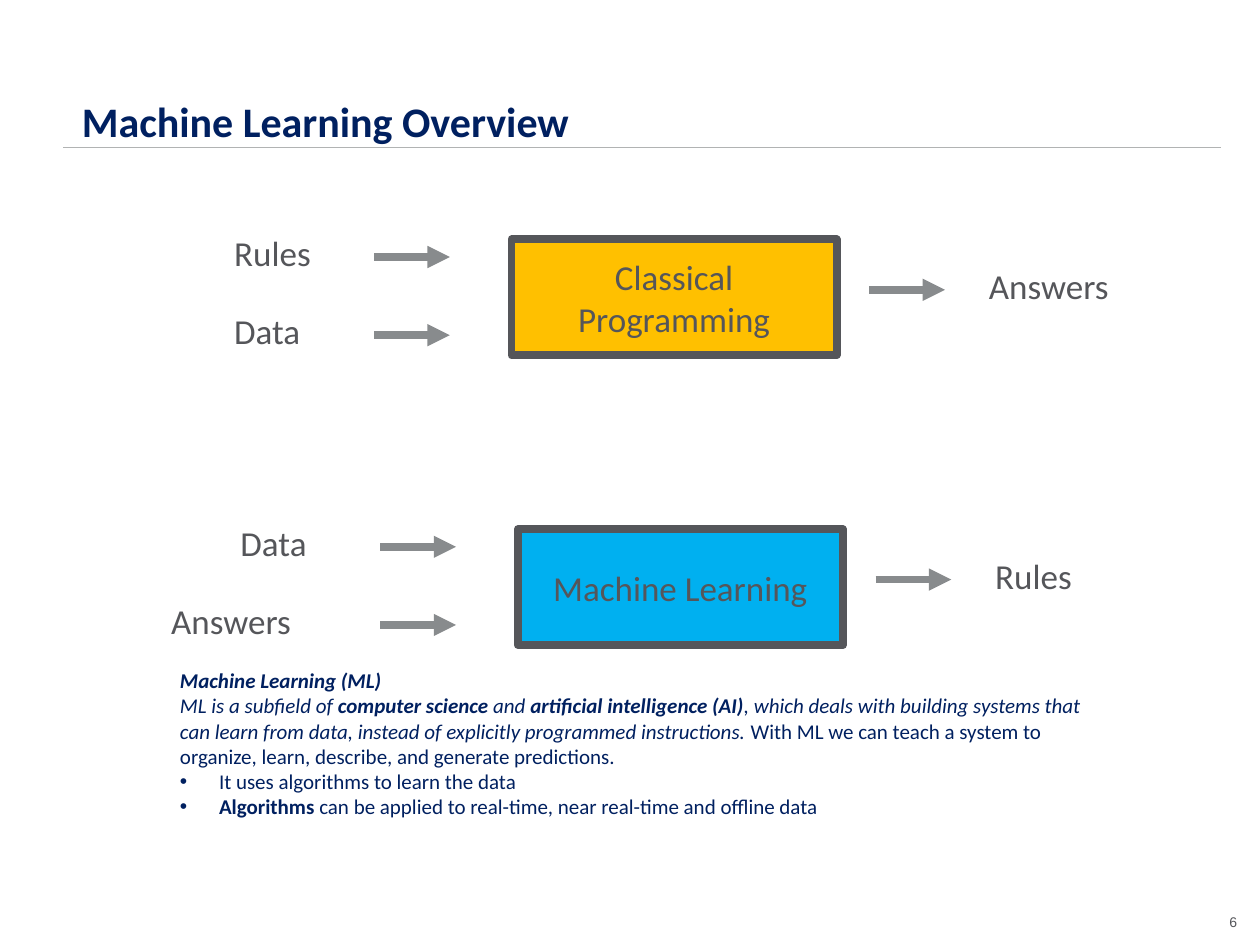
from dataclasses import dataclass

from lxml import etree
from pptx import Presentation
from pptx.dml.color import RGBColor
from pptx.enum.shapes import MSO_CONNECTOR, MSO_SHAPE
from pptx.enum.text import MSO_ANCHOR, MSO_AUTO_SIZE, PP_ALIGN
from pptx.oxml.ns import qn
from pptx.util import Inches, Pt

LEFT, CENTER, RIGHT = PP_ALIGN.LEFT, PP_ALIGN.CENTER, PP_ALIGN.RIGHT
TOP, MIDDLE, BOTTOM = MSO_ANCHOR.TOP, MSO_ANCHOR.MIDDLE, MSO_ANCHOR.BOTTOM
NO_FIT = MSO_AUTO_SIZE.NONE
STRAIGHT, RECTANGLE = MSO_CONNECTOR.STRAIGHT, MSO_SHAPE.RECTANGLE
TITLE_ONLY = 5


@dataclass(frozen=True)
class Theme:
    font: str = "Calibri"
    number_font: str = "Arial"
    navy: str = "002060"
    ink: str = "55565A"
    arrow: str = "888B8D"
    rule: str = "B1B3B3"
    amber: str = "FFC000"
    blue: str = "00B0F0"
    title_size: float = 24
    label_size: float = 20
    body_size: float = 12
    number_size: float = 8
    rule_width: float = 1
    arrow_width: float = 4.25
    border_width: float = 4.5


THEME = Theme()
ROW_STEP = 0.62
LABEL_HEIGHT = 0.44
ARROW_LENGTH = 0.6
INPUT_ARROW_X, BOX_X, OUTPUT_ARROW_X, OUTPUT_X = 1.21, 2.3, 5.14, 5.99
BOX_WIDTH, BOX_HEIGHT = 2.58, 0.92
LABEL_WIDTHS = {"Rules": 0.82, "Data": 0.73, "Answers": 1.16}

NOTES = [
    (False, [("Machine Learning (ML)", True, True)]),
    (False, [
        ("ML is a subfield of ", False, True),
        ("computer science ", True, True),
        ("and ", False, True),
        ("artificial intelligence (AI)", True, True),
        (", which deals with building systems that can learn from data, "
         "instead of explicitly programmed instructions.", False, True),
        (" With ML we can teach a system to organize, learn, describe, "
         "and generate predictions.", False, False),
    ]),
    (True, [("It uses algorithms to learn the data", False, False)]),
    (True, [
        ("Algorithms", True, False),
        (" can be applied to real-time, near real-time and offline data", False, False),
    ]),
]


def add_span(para, text, *, size, color, font=THEME.font, bold=False, italic=False):
    span = para.add_run()
    span.text = text
    span.font.name = font
    span.font.size = Pt(size)
    span.font.bold = bold
    span.font.italic = italic
    span.font.color.rgb = RGBColor.from_string(color)


def format_frame(frame, *, anchor=TOP, wrap=True, inset=None):
    frame.auto_size = NO_FIT
    frame.word_wrap = wrap
    frame.vertical_anchor = anchor
    if inset is not None:
        frame.margin_left = frame.margin_right = Inches(inset)
        frame.margin_top = frame.margin_bottom = Inches(inset)


def add_text_box(page, left, top, width, height, **frame_format):
    box = page.shapes.add_textbox(*map(Inches, (left, top, width, height)))
    format_frame(box.text_frame, **frame_format)
    return box.text_frame


def add_label(page, text, left, top):
    frame = add_text_box(page, left, top, LABEL_WIDTHS[text], LABEL_HEIGHT, wrap=False)
    add_span(frame.paragraphs[0], text, size=THEME.label_size, color=THEME.ink)


def add_line(page, left, top, length, *, color, width, arrow=False):
    line = page.shapes.add_connector(
        STRAIGHT, *map(Inches, (left, top, left + length, top)))
    line.line.color.rgb = RGBColor.from_string(color)
    line.line.width = Pt(width)
    if arrow:
        outline = line.line._get_or_add_ln()
        etree.SubElement(outline, qn("a:tailEnd"), type="triangle")
    etree.SubElement(line._element.spPr, qn("a:effectLst"))


def add_arrow(page, left, top):
    add_line(page, left, top, ARROW_LENGTH, color=THEME.arrow,
             width=THEME.arrow_width, arrow=True)


def add_process(page, text, left, top, fill):
    box = page.shapes.add_shape(
        RECTANGLE, *map(Inches, (left, top, BOX_WIDTH, BOX_HEIGHT)))
    box.shadow.inherit = False
    box.fill.solid()
    box.fill.fore_color.rgb = RGBColor.from_string(fill)
    box.line.color.rgb = RGBColor.from_string(THEME.ink)
    box.line.width = Pt(THEME.border_width)
    format_frame(box.text_frame, anchor=MIDDLE)
    para = box.text_frame.paragraphs[0]
    para.alignment = CENTER
    add_span(para, text, size=THEME.label_size, color=THEME.ink)


def add_flow(page, left, top, inputs, process, output, fill):
    for row, (text, shift) in enumerate(inputs):
        row_top = top + row * ROW_STEP
        add_label(page, text, left + shift, row_top)
        add_arrow(page, left + INPUT_ARROW_X, row_top + 0.25)
    add_process(page, process, left + BOX_X, top + 0.11, fill)
    add_arrow(page, left + OUTPUT_ARROW_X, top + 0.51)
    add_label(page, output, left + OUTPUT_X, top + 0.26)


def add_bullet(para, indent=0.31):
    properties = para._p.get_or_add_pPr()
    properties.set("marL", str(Inches(indent)))
    properties.set("indent", str(-Inches(indent)))
    etree.SubElement(properties, qn("a:buFont"), typeface="Arial")
    etree.SubElement(properties, qn("a:buChar"), char="•")


def add_notes(page):
    frame = add_text_box(page, 1.33, 5.25, 7.58, 1.31)
    for index, (bulleted, spans) in enumerate(NOTES):
        para = frame.add_paragraph() if index else frame.paragraphs[0]
        if bulleted:
            add_bullet(para)
        for text, bold, italic in spans:
            add_span(para, text, size=THEME.body_size, color=THEME.navy,
                     bold=bold, italic=italic)


def set_title(page, text):
    title = page.shapes.title
    title.left, title.top, title.width, title.height = map(
        Inches, (0.65, 0.48, 9.18, 0.68))
    format_frame(title.text_frame, anchor=BOTTOM, inset=0)
    para = title.text_frame.paragraphs[0]
    para.alignment = LEFT
    add_span(para, text, size=THEME.title_size, color=THEME.navy, bold=True)


def add_page_number(page, number):
    frame = add_text_box(page, 9.4, 7.18, 0.42, 0.27,
                         anchor=MIDDLE, wrap=False, inset=0)
    para = frame.paragraphs[0]
    para.alignment = RIGHT
    add_span(para, number, size=THEME.number_size, color=THEME.ink,
             font=THEME.number_font)


def main():
    deck = Presentation()
    deck.slide_width, deck.slide_height = Inches(10), Inches(7.5)
    page = deck.slides.add_slide(deck.slide_layouts[TITLE_ONLY])
    add_line(page, 0.5, 1.17, 9.19, color=THEME.rule, width=THEME.rule_width)
    set_title(page, "Machine Learning Overview")
    add_flow(page, 1.76, 1.79, [("Rules", 0), ("Data", 0)],
             "Classical Programming", "Answers", THEME.amber)
    add_flow(page, 1.81, 4.09, [("Data", 0), ("Answers", -0.55)],
             "Machine Learning", "Rules", THEME.blue)
    add_notes(page)
    add_page_number(page, "6")
    deck.save("out.pptx")


if __name__ == "__main__":
    main()
